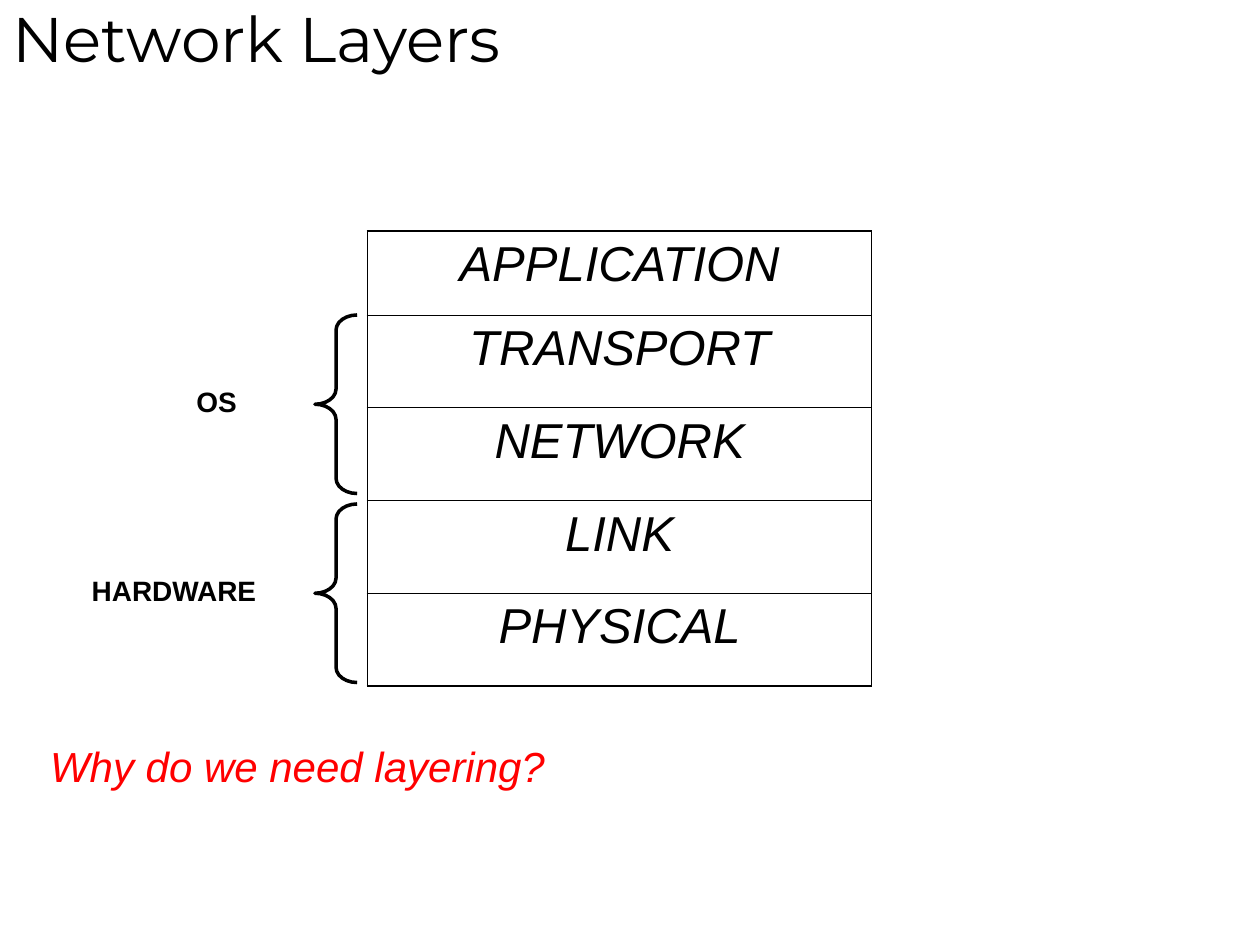
from dataclasses import dataclass

from lxml.etree import SubElement
from pptx import Presentation
from pptx.dml.color import RGBColor
from pptx.enum.shapes import MSO_SHAPE as Preset
from pptx.enum.text import MSO_ANCHOR as Anchor, PP_ALIGN as Align
from pptx.oxml.ns import qn
from pptx.util import Cm, Pt


@dataclass(frozen=True)
class Theme:
    ink: str = "000000"
    accent: str = "FF0000"
    heading_font: str = "Montserrat"
    body_font: str = "Arial"
    title_size: int = 36
    layer_size: int = 28
    question_size: int = 24
    label_size: int = 16
    outer_rule: float = 1.08
    inner_rule: float = 0.45
    brace_rule: float = 2


THEME = Theme()
TITLE_ONLY = 5
LAYERS = ["APPLICATION", "TRANSPORT", "NETWORK", "LINK", "PHYSICAL"]
FIRST_ROW, OTHER_ROW = 1.69, 1.87
OWNERS = [("OS", 3.71, 3.23), ("HARDWARE", 1.6, 5.77)]


def write(frame, text, *, size, font=THEME.body_font, color=THEME.ink, bold=False,
          italic=False, align=Align.LEFT, before=0, anchor=Anchor.TOP):
    frame.word_wrap = True
    frame.vertical_anchor = anchor
    paragraph = frame.paragraphs[0]
    paragraph.alignment = align
    paragraph.space_before = Pt(before)
    run = paragraph.add_run()
    run.text = text
    run.font.name = font
    run.font.size = Pt(size)
    run.font.bold = bold
    run.font.italic = italic
    run.font.color.rgb = RGBColor.from_string(color)


def add_text(slide, box, text, **style):
    label = slide.shapes.add_textbox(*map(Cm, box))
    write(label.text_frame, text, **style)


def rule_cell(cell, **widths):
    properties = cell._tc.get_or_add_tcPr()
    for position, side in enumerate(("L", "R", "T", "B")):
        line = SubElement(properties, qn(f"a:ln{side}"), w=str(Pt(widths[side])))
        fill = SubElement(line, qn("a:solidFill"))
        SubElement(fill, qn("a:srgbClr"), val=THEME.ink)
        properties.insert(position, line)


def place_title(slide, box):
    title = slide.shapes.title
    title.left, title.top, title.width, title.height = map(Cm, box)
    write(title.text_frame, "Network Layers", size=THEME.title_size,
          font=THEME.heading_font, anchor=Anchor.MIDDLE)


def place_layer_stack(slide, box):
    stack = slide.shapes.add_table(len(LAYERS), 1, *map(Cm, box)).table
    stack.first_row = stack.horz_banding = False
    last = len(LAYERS) - 1
    for index, layer in enumerate(LAYERS):
        stack.rows[index].height = Cm(OTHER_ROW if index else FIRST_ROW)
        cell = stack.cell(index, 0)
        cell.fill.background()
        write(cell.text_frame, layer, size=THEME.layer_size, italic=True,
              align=Align.CENTER, before=7)
        rule_cell(cell, L=THEME.outer_rule, R=THEME.outer_rule,
                  T=THEME.inner_rule if index else THEME.outer_rule,
                  B=THEME.outer_rule if index == last else THEME.inner_rule)


def place_owners(slide, box):
    left, top, width, height = box
    brace_width, brace_height, pitch = 0.85, 3.6, 3.81
    for index, (owner, indent, label_width) in enumerate(OWNERS):
        brace_top = top + index * pitch
        brace = slide.shapes.add_shape(
            Preset.LEFT_BRACE, Cm(left + width - brace_width), Cm(brace_top),
            Cm(brace_width), Cm(brace_height))
        brace.shadow.inherit = False
        brace.adjustments[0] = 0.36
        brace.fill.background()
        brace.line.color.rgb = RGBColor.from_string(THEME.ink)
        brace.line.width = Pt(THEME.brace_rule)
        add_text(slide, (left + indent, brace_top + 1.27, label_width, 0.94), owner,
                 size=THEME.label_size, bold=True, before=4)


def place_question(slide, box):
    add_text(slide, box, "Why do we need layering?", size=THEME.question_size,
             color=THEME.accent, italic=True, before=6)


def main():
    deck = Presentation()
    deck.slide_width, deck.slide_height = Cm(25.4), Cm(19.05)
    slide = deck.slides.add_slide(deck.slide_layouts[TITLE_ONLY])
    place_title(slide, (0, -0.2, 25.4, 1.9))
    stack_height = FIRST_ROW + OTHER_ROW * (len(LAYERS) - 1)
    place_layer_stack(slide, (7.41, 4.66, 10.16, stack_height))
    place_question(slide, (0.76, 14.8, 12.4, 1.28))
    place_owners(slide, (0, 6.35, 7.2, 7.41))
    deck.save("out.pptx")


if __name__ == "__main__":
    main()
